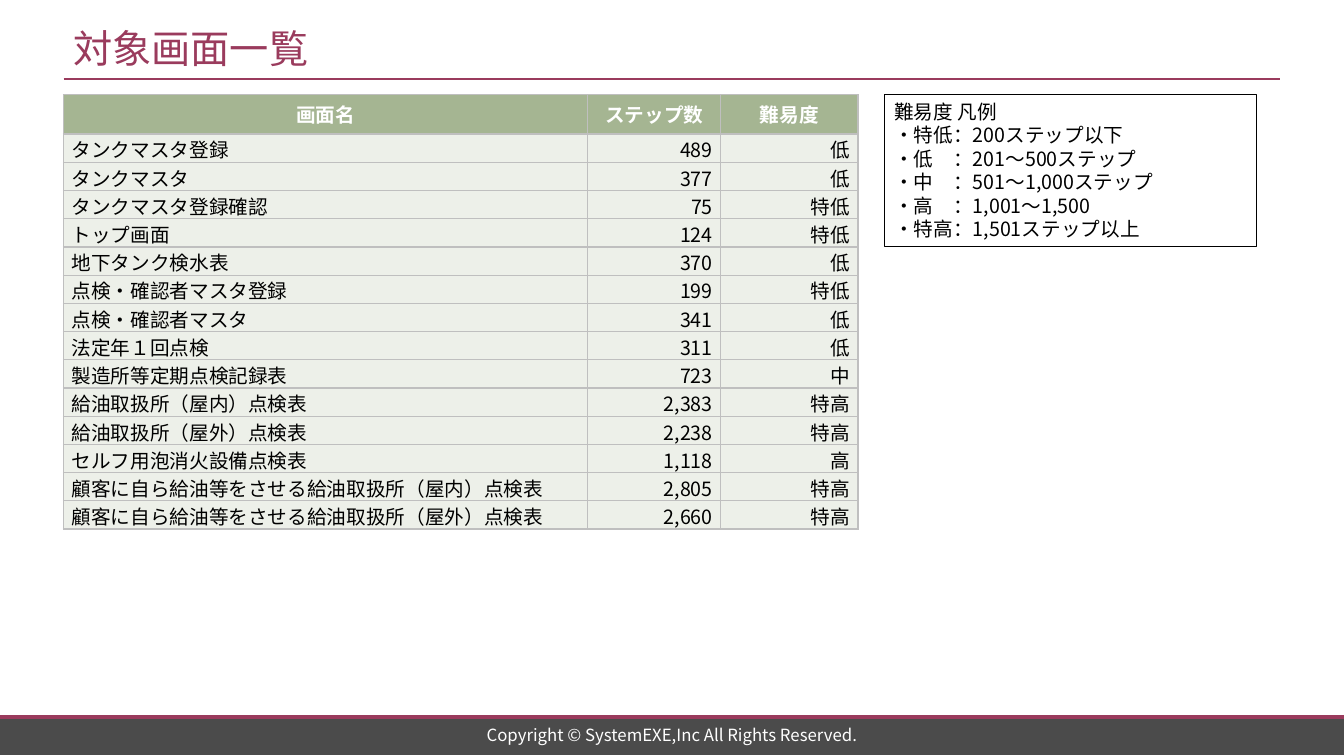
"""Build the slide that lists the target screens with step counts and difficulty."""
from typing import Any, NamedTuple

from lxml import etree
from pptx import Presentation
from pptx.dml.color import RGBColor
from pptx.enum.shapes import MSO_CONNECTOR, MSO_SHAPE
from pptx.enum.text import MSO_ANCHOR, PP_ALIGN
from pptx.oxml.ns import qn
from pptx.util import Emu, Pt

LEFT, CENTER, RIGHT = PP_ALIGN.LEFT, PP_ALIGN.CENTER, PP_ALIGN.RIGHT
TOP, MIDDLE = MSO_ANCHOR.TOP, MSO_ANCHOR.MIDDLE
RECTANGLE, STRAIGHT = MSO_SHAPE.RECTANGLE, MSO_CONNECTOR.STRAIGHT
EMU_PER_PX = 9144
PAGE_WIDTH, PAGE_HEIGHT = 1333, 750
FONT = "Noto Sans CJK JP"
COLORS = {
    "accent": "9A3B5D", "footer": "4B4B4B", "header": "A5B592", "body": "EDF0E9",
    "border": "BFBFBF", "black": "000000", "white": "FFFFFF",
}


class Rule(NamedTuple):
    left: int
    right: int
    y: int
    weight: float


class TextStyle(NamedTuple):
    size: int
    color: str
    align: PP_ALIGN = LEFT
    bold: bool = False
    line_spacing: float | None = None


class TextBlock(NamedTuple):
    left: int
    top: int
    width: int
    height: int
    lines: list[str]
    style: TextStyle
    frame: dict[str, Any]


class Column(NamedTuple):
    heading: str
    width: int
    align: PP_ALIGN


class Screen(NamedTuple):
    name: str
    steps: int
    difficulty: str


RULES = [Rule(0, PAGE_WIDTH, 711, 2.75), Rule(63, 1270, 78, 1.5)]
TITLE = TextBlock(63, 20, 1207, 55, ["対象画面一覧"], TextStyle(28, "accent"),
                  {"vertical_anchor": MIDDLE, "word_wrap": False})
COPYRIGHT = TextBlock(332, 717, 669, 24, ["Copyright © SystemEXE,Inc All Rights Reserved."],
                      TextStyle(12, "white", CENTER),
                      {"vertical_anchor": MIDDLE, "word_wrap": True})
LEGEND = TextBlock(877, 94, 369, 151, [
    "難易度 凡例",
    "・特低：200ステップ以下",
    "・低　：201～500ステップ",
    "・中　：501～1,000ステップ",
    "・高　：1,001～1,500",
    "・特高：1,501ステップ以上",
], TextStyle(14, "black", line_spacing=16.8), {"vertical_anchor": TOP, "word_wrap": True})
COLUMNS = [Column("画面名", 520, LEFT), Column("ステップ数", 132, RIGHT),
           Column("難易度", 136, RIGHT)]
SCREENS = [
    Screen("タンクマスタ登録", 489, "低"),
    Screen("タンクマスタ", 377, "低"),
    Screen("タンクマスタ登録確認", 75, "特低"),
    Screen("トップ画面", 124, "特低"),
    Screen("地下タンク検水表", 370, "低"),
    Screen("点検・確認者マスタ登録", 199, "特低"),
    Screen("点検・確認者マスタ", 341, "低"),
    Screen("法定年１回点検", 311, "低"),
    Screen("製造所等定期点検記録表", 723, "中"),
    Screen("給油取扱所（屋内）点検表", 2383, "特高"),
    Screen("給油取扱所（屋外）点検表", 2238, "特高"),
    Screen("セルフ用泡消火設備点検表", 1118, "高"),
    Screen("顧客に自ら給油等をさせる給油取扱所（屋内）点検表", 2805, "特高"),
    Screen("顧客に自ら給油等をさせる給油取扱所（屋外）点検表", 2660, "特高"),
]
TABLE_LEFT, TABLE_TOP, HEADER_HEIGHT, ROW_HEIGHT = 63, 94, 39, 28
HEADER_STYLE = TextStyle(14, "white", CENTER, bold=True)
HEADER_MARGINS = (10, 5, 10, 5)
BODY_MARGINS = {LEFT: (8, 1, 1, 0), RIGHT: (1, 1, 8, 0)}


def px(length: int) -> Emu:
    return Emu(length * EMU_PER_PX)


def rgb(color: str) -> RGBColor:
    return RGBColor.from_string(COLORS[color])


def apply(target: Any, values: dict[str, Any]) -> None:
    for name, value in values.items():
        setattr(target, name, value)


def write(frame: Any, lines: list[str], style: TextStyle) -> None:
    for index, line in enumerate(lines):
        para = frame.add_paragraph() if index else frame.paragraphs[0]
        para.alignment = style.align
        if style.line_spacing:
            para.line_spacing = Pt(style.line_spacing)
        span = para.add_run()
        span.text = line
        apply(span.font, {"name": FONT, "size": Pt(style.size), "bold": style.bold})
        span.font.color.rgb = rgb(style.color)
        etree.SubElement(span.font._element, qn("a:ea"), typeface=FONT)


def add_text(page: Any, block: TextBlock) -> Any:
    box = page.shapes.add_textbox(*map(px, block[:4]))
    apply(box.text_frame, block.frame)
    write(box.text_frame, block.lines, block.style)
    return box


def add_rule(page: Any, rule: Rule) -> None:
    line = page.shapes.add_connector(
        STRAIGHT, px(rule.left), px(rule.y), px(rule.right), px(rule.y))
    line.line.color.rgb = rgb("accent")
    line.line.width = Pt(rule.weight)
    etree.SubElement(line._element.spPr, qn("a:effectLst"))


def add_footer(page: Any) -> None:
    band = page.shapes.add_shape(RECTANGLE, px(0), px(710), px(PAGE_WIDTH), px(39))
    band.shadow.inherit = False
    band.fill.solid()
    band.fill.fore_color.rgb = rgb("footer")
    band.line.fill.background()


def fill_cell(cell: Any, text: str, style: TextStyle, fill: str,
              margins: tuple[int, int, int, int]) -> None:
    sides = ("margin_left", "margin_top", "margin_right", "margin_bottom")
    apply(cell, dict(zip(sides, map(px, margins))) | {"vertical_anchor": MIDDLE})
    properties = cell._tc.get_or_add_tcPr()
    for side in ("lnL", "lnR", "lnT", "lnB"):
        border = etree.SubElement(properties, qn(f"a:{side}"), w=str(Pt(1)))
        paint = etree.SubElement(border, qn("a:solidFill"))
        etree.SubElement(paint, qn("a:srgbClr"), val=COLORS["border"])
    cell.fill.solid()
    cell.fill.fore_color.rgb = rgb(fill)
    write(cell.text_frame, [text], style)


def add_screen_table(page: Any) -> None:
    width = sum(column.width for column in COLUMNS)
    height = HEADER_HEIGHT + ROW_HEIGHT * len(SCREENS)
    table = page.shapes.add_table(len(SCREENS) + 1, len(COLUMNS), px(TABLE_LEFT),
                                  px(TABLE_TOP), px(width), px(height)).table
    apply(table, {"first_row": False, "horz_banding": False})
    for index in range(len(SCREENS) + 1):
        table.rows[index].height = px(ROW_HEIGHT if index else HEADER_HEIGHT)
    for position, column in enumerate(COLUMNS):
        table.columns[position].width = px(column.width)
        fill_cell(table.cell(0, position), column.heading, HEADER_STYLE, "header",
                  HEADER_MARGINS)
        style = TextStyle(14, "black", column.align)
        for index, screen in enumerate(SCREENS, start=1):
            value = screen[position]
            text = f"{value:,}" if isinstance(value, int) else value
            fill_cell(table.cell(index, position), text, style, "body",
                      BODY_MARGINS[column.align])


def main() -> None:
    deck = Presentation()
    apply(deck, {"slide_width": px(PAGE_WIDTH), "slide_height": px(PAGE_HEIGHT)})
    page = deck.slides.add_slide(deck.slide_layouts[6])
    add_footer(page)
    for rule in RULES:
        add_rule(page, rule)
    add_text(page, TITLE)
    add_screen_table(page)
    add_text(page, COPYRIGHT)
    legend = add_text(page, LEGEND)
    legend.line.color.rgb = rgb("black")
    legend.line.width = Pt(0.75)
    deck.save("out.pptx")


if __name__ == "__main__":
    main()
